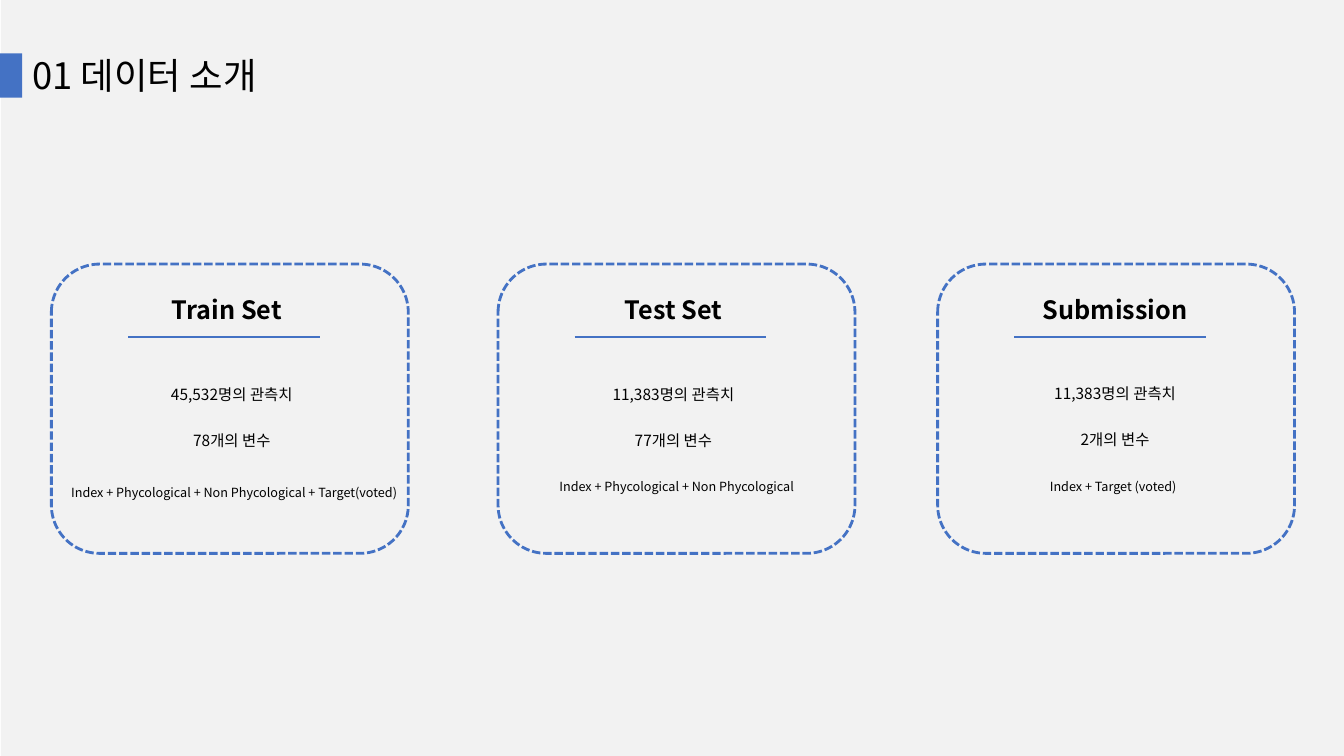
import pptx
import pptx.util
import pptx.dml.color
import pptx.enum.dml
import pptx.enum.shapes
import pptx.enum.text
import pptx.oxml.ns
from lxml import etree

Inches, Pt = pptx.util.Inches, pptx.util.Pt
Shape = pptx.enum.shapes.MSO_SHAPE
Align = pptx.enum.text.PP_ALIGN
Anchor = pptx.enum.text.MSO_ANCHOR
qn = pptx.oxml.ns.qn

# Content
TITLE = "01 데이터 소개"
CARDS = [
    dict(left=0.51, head="Train Set", head_mid=2.25,
         counts=["45,532명의 관측치", "78개의 변수"], count_mid=2.3, count_top=3.5,
         parts="Index + Phycological + Non Phycological + Target(voted)",
         part_mid=2.32, part_top=4.54, part_high=0.42, part_gap=2.5),
    dict(left=4.94, head="Test Set", head_mid=6.68,
         counts=["11,383명의 관측치", "77개의 변수"], count_mid=6.68, count_top=3.5,
         parts="Index + Phycological + Non Phycological",
         part_mid=6.71, part_top=4.7, part_high=0.25, part_gap=None),
    dict(left=9.3, head="Submission", head_mid=11.06,
         counts=["11,383명의 관측치", "2개의 변수"], count_mid=11.06, count_top=3.49,
         parts="Index + Target (voted)",
         part_mid=11.04, part_top=4.7, part_high=0.25, part_gap=None),
]

# Style
FONT = "Noto Sans CJK KR"
COLORS = {"paper": "F2F2F2", "blue": "4472C4", "ink": "000000"}
HEAD = {"size": Pt(18), "bold": True}
COUNT = {"size": Pt(11), "bold": False}
PART = {"size": Pt(9), "bold": False}


def color(name):
    return pptx.dml.color.RGBColor.from_string(COLORS[name])


def write(frame, lines, style, align=Align.CENTER, gap=None, anchor=Anchor.TOP):
    frame.word_wrap = True
    frame.auto_size = pptx.enum.text.MSO_AUTO_SIZE.NONE
    frame.vertical_anchor = anchor
    for i, line in enumerate(lines):
        para = frame.paragraphs[0] if i == 0 else frame.add_paragraph()
        para.alignment = align
        if gap:
            para.line_spacing = gap
        run = para.add_run()
        run.text = line
        for key, value in {"name": FONT, **style}.items():
            setattr(run.font, key, value)
        run.font.color.rgb = color("ink")
        east = etree.SubElement(run.font._element, qn("a:ea"))
        east.set("typeface", FONT)


def add_text(mid, top, wide, high, lines, style, **more):
    box = slide.shapes.add_textbox(
        Inches(mid - wide / 2), Inches(top), Inches(wide), Inches(high))
    write(box.text_frame, lines, style, **more)


def add_block(kind, left, top, wide, high, fill=None):
    block = slide.shapes.add_shape(
        kind, Inches(left), Inches(top), Inches(wide), Inches(high))
    block.shadow.inherit = False
    if fill:
        block.fill.solid()
        block.fill.fore_color.rgb = color(fill)
    else:
        block.fill.background()
    block.line.fill.background()
    return block


def add_card(card):
    left = card["left"]

    # Rule under the heading
    rule = slide.shapes.add_connector(
        pptx.enum.shapes.MSO_CONNECTOR.STRAIGHT,
        Inches(left + 0.76), Inches(3.34), Inches(left + 2.66), Inches(3.34))
    rule.line.color.rgb = color("blue")
    rule.line.width = Pt(1.5)
    etree.SubElement(rule._element.spPr, qn("a:effectLst"))

    # Heading and dashed frame
    add_text(card["head_mid"], 2.87, 1.9, 0.4, [card["head"]], HEAD)
    frame = add_block(Shape.ROUNDED_RECTANGLE, left, 2.62, 3.54, 2.87)
    frame.line.color.rgb = color("blue")
    frame.line.width = Pt(2)
    frame.line.dash_style = pptx.enum.dml.MSO_LINE.SQUARE_DOT
    dash = frame.line._ln.find(qn("a:prstDash"))
    dash.set("val", "sysDash")

    # Counts and parts
    add_text(card["count_mid"], card["count_top"], 4.54, 1.01, card["counts"],
             COUNT, gap=2.5, anchor=Anchor.MIDDLE)
    add_text(card["part_mid"], card["part_top"], 4, card["part_high"],
             [card["parts"]], PART, gap=card["part_gap"])


deck = pptx.Presentation()
deck.slide_width, deck.slide_height = Inches(13.33), Inches(7.5)
slide = deck.slides.add_slide(deck.slide_layouts[5])

# Backdrop and title
add_block(Shape.RECTANGLE, 0.01, 0, 13.33, 7.5, "paper")
add_block(Shape.RECTANGLE, 0, 0.53, 0.22, 0.44, "blue")
title = slide.shapes.title
title.left, title.top = Inches(0.22), Inches(0.48)
title.width, title.height = Inches(6.67), Inches(0.54)
write(title.text_frame, [TITLE], {"size": Pt(26), "bold": False}, Align.LEFT)
slide.shapes._spTree.append(title._element)

# Cards
for card in CARDS:
    add_card(card)

deck.save("out.pptx")
